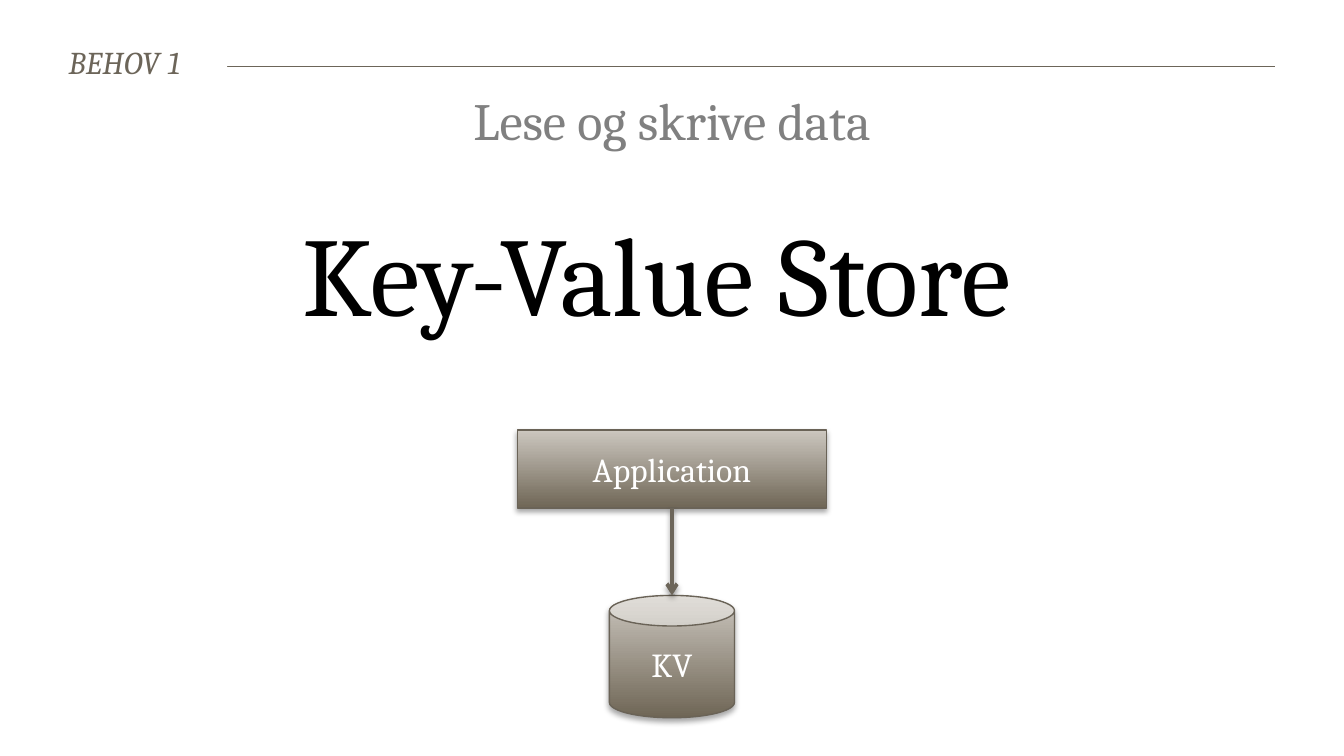
"""Build the slide on reading and writing data with a key-value store."""
from dataclasses import dataclass

from lxml import etree
from pptx import Presentation
from pptx.dml.color import RGBColor
from pptx.enum.shapes import MSO_CONNECTOR, MSO_SHAPE
from pptx.enum.text import MSO_ANCHOR, MSO_AUTO_SIZE, PP_ALIGN
from pptx.oxml.ns import qn
from pptx.util import Pt

STRAIGHT = MSO_CONNECTOR.STRAIGHT
RECTANGLE, CAN = MSO_SHAPE.RECTANGLE, MSO_SHAPE.CAN
TOP, MIDDLE = MSO_ANCHOR.TOP, MSO_ANCHOR.MIDDLE
GROW = MSO_AUTO_SIZE.SHAPE_TO_FIT_TEXT
LEFT, CENTER = PP_ALIGN.LEFT, PP_ALIGN.CENTER

BLACK = RGBColor(0x00, 0x00, 0x00)
GRAY = RGBColor(0x80, 0x80, 0x80)
WHITE = RGBColor(0xFF, 0xFF, 0xFF)
TAUPE = RGBColor(0x6C, 0x65, 0x59)
OUTLINE = RGBColor(0x6A, 0x63, 0x57)
DARK = RGBColor(0x6F, 0x66, 0x56)
LIGHT = RGBColor(0xCC, 0xC7, 0xBF)

FONT = "Cambria"
PAGE_WIDTH, PAGE_HEIGHT = 720, 405
MIDDLE_X = PAGE_WIDTH / 2


@dataclass(frozen=True)
class Heading:
    text: str
    left: float
    top: float
    width: float
    height: float
    size: int
    color: RGBColor


@dataclass(frozen=True)
class Node:
    text: str
    kind: MSO_SHAPE
    top: float
    width: float
    height: float


HEADINGS = (
    Heading("Key-Value Store", 128.2, 105.8, 447, 80, 60, BLACK),
    Heading("Lese og skrive data", 234.7, 43.9, 250.6, 41, 28, GRAY),
)
APPLICATION = Node("Application", RECTANGLE, 230.4, 165.6, 41.8)
STORE = Node("KV", CAN, 319, 67, 65.5)


def write(frame, text: str, align: PP_ALIGN, **formats) -> None:
    para = frame.paragraphs[0]
    para.alignment = align
    span = para.add_run()
    span.text = text
    span.font.color.rgb = formats.pop("color")
    for name, value in {"name": FONT, **formats}.items():
        setattr(span.font, name, value)


def set_frame(frame, **formats) -> None:
    for name, value in formats.items():
        setattr(frame, name, value)


def add_effects(shape):
    return etree.SubElement(shape._element.spPr, qn("a:effectLst"))


def cast_shadow(effects, distance: float, alpha: int) -> None:
    shadow = etree.SubElement(
        effects, qn("a:outerShdw"), blurRad=str(Pt(3.1)),
        dist=str(Pt(distance)), dir="5400000", rotWithShape="0")
    color = etree.SubElement(shadow, qn("a:srgbClr"), val=str(BLACK))
    etree.SubElement(color, qn("a:alpha"), val=str(alpha * 1000))


def add_line(page, start: tuple, end: tuple, width: float):
    line = page.shapes.add_connector(
        STRAIGHT, *(Pt(value) for value in (*start, *end)))
    line.line.color.rgb = TAUPE
    line.line.width = Pt(width)
    return line


def add_title(page, text: str) -> None:
    title = page.shapes.title
    position = {"left": 29.5, "top": 23, "width": 92.2, "height": 20.9}
    for name, value in position.items():
        setattr(title, name, Pt(value))
    title.fill.solid()
    title.fill.fore_color.rgb = WHITE
    set_frame(title.text_frame, word_wrap=False, auto_size=GROW,
              vertical_anchor=TOP, margin_left=Pt(7.2), margin_right=Pt(7.2),
              margin_top=0, margin_bottom=0)
    write(title.text_frame, text, LEFT, size=Pt(17), italic=True, color=TAUPE)
    span = title.text_frame.paragraphs[0].runs[0]
    span._r.get_or_add_rPr().set("spc", "20")


def add_heading(page, heading: Heading) -> None:
    box = page.shapes.add_textbox(
        Pt(heading.left), Pt(heading.top), Pt(heading.width), Pt(heading.height))
    set_frame(box.text_frame, word_wrap=False, auto_size=GROW)
    write(box.text_frame, heading.text, CENTER,
          size=Pt(heading.size), color=heading.color)


def add_node(page, node: Node):
    shape = page.shapes.add_shape(
        node.kind, Pt(MIDDLE_X - node.width / 2), Pt(node.top),
        Pt(node.width), Pt(node.height))
    shape.fill.gradient()
    shape.fill.gradient_angle = 90
    for stop, position, color in zip(
            shape.fill.gradient_stops, (0, 1), (DARK, LIGHT)):
        stop.position = position
        stop.color.rgb = color
    shape.line.color.rgb = OUTLINE
    shape.line.width = Pt(0.75)
    cast_shadow(add_effects(shape), 1.8, 35)
    shape.text_frame.vertical_anchor = MIDDLE
    write(shape.text_frame, node.text, CENTER, size=Pt(18), color=WHITE)
    return shape


def add_arrow(page, application) -> None:
    bottom = APPLICATION.top + APPLICATION.height
    arrow = add_line(page, (MIDDLE_X, bottom), (MIDDLE_X, STORE.top), 2)
    arrow.begin_connect(application, 2)
    etree.SubElement(arrow.line._get_or_add_ln(), qn("a:tailEnd"), type="arrow")
    cast_shadow(add_effects(arrow), 1.6, 38)


def main() -> None:
    deck = Presentation()
    deck.slide_width, deck.slide_height = Pt(PAGE_WIDTH), Pt(PAGE_HEIGHT)
    page = deck.slides.add_slide(deck.slide_layouts[5])
    rule = add_line(page, (38.2, 35.3), (683.3, 35.3), 0.2)
    add_effects(rule)
    page.shapes.title._element.addprevious(rule._element)
    add_title(page, "BEHOV 1")
    for heading in HEADINGS:
        add_heading(page, heading)
    application = add_node(page, APPLICATION)
    add_node(page, STORE)
    add_arrow(page, application)
    deck.save("out.pptx")


if __name__ == "__main__":
    main()
